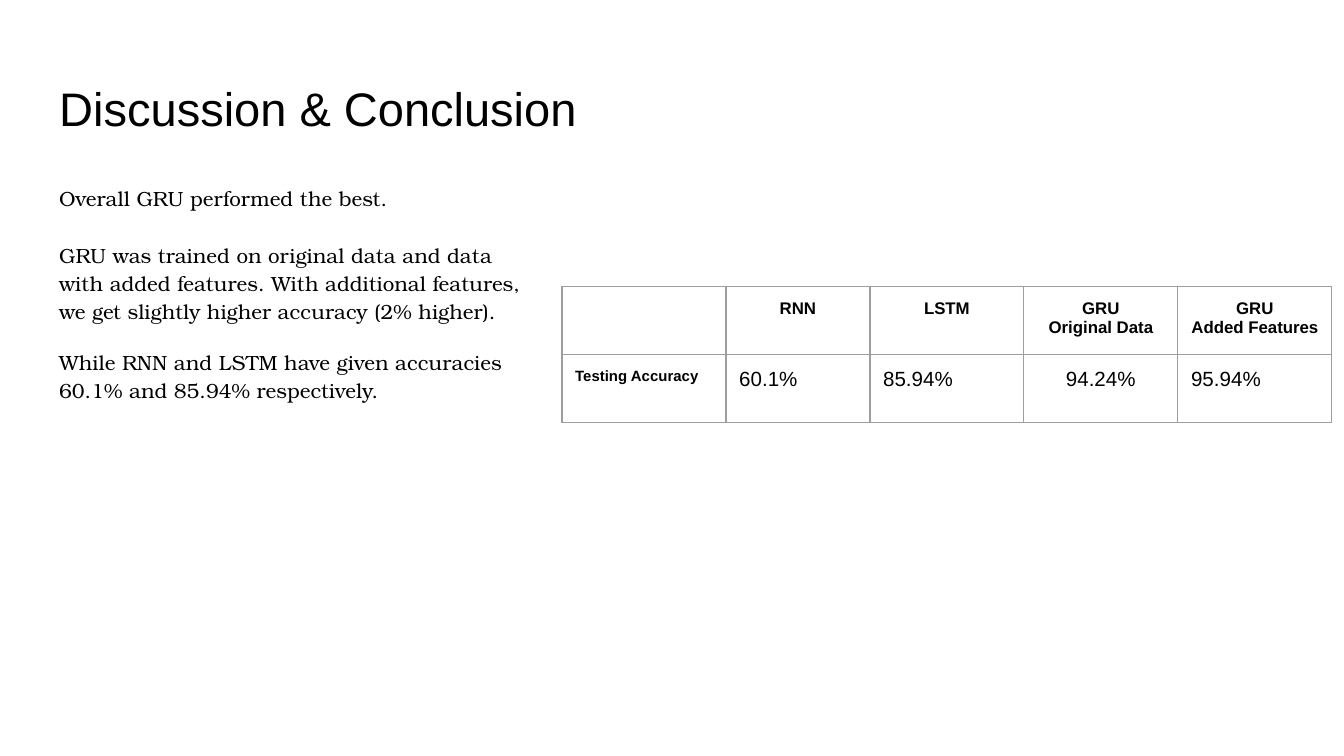
from lxml.etree import SubElement
from pptx import Presentation
from pptx.dml.color import RGBColor
from pptx.enum.text import MSO_ANCHOR as Anchor, PP_ALIGN as Align
from pptx.oxml.ns import qn
from pptx.util import Cm, Pt

BLACK = RGBColor(0x00, 0x00, 0x00)
GREY = RGBColor(0x9E, 0x9E, 0x9E)
SANS = "Arial"
SERIF = "TeX Gyre Bonum"


class SlideBuilder:
    """Holds the style and the current slide."""

    inset = Cm(0.25)

    def __init__(self, slide):
        self.slide = slide

    def set_insets(self, area):
        area.margin_left = area.margin_right = self.inset
        area.margin_top = area.margin_bottom = self.inset

    def add_span(self, para, text, font, size, bold=False):
        span = para.add_run()
        span.text = text
        span.font.name = font
        span.font.size = Pt(size)
        span.font.bold = bold
        span.font.color.rgb = BLACK

    def add_text(self, left, top, width, height, lines, font, size,
                 spacing=1.0, gaps=(0,), anchor=Anchor.TOP):
        box = self.slide.shapes.add_textbox(Cm(left), Cm(top), Cm(width), Cm(height))
        frame = box.text_frame
        frame.word_wrap = True
        frame.vertical_anchor = anchor
        self.set_insets(frame)
        for index, (line, gap) in enumerate(zip(lines, gaps)):
            para = frame.add_paragraph() if index else frame.paragraphs[0]
            para.line_spacing = spacing
            para.space_before = Pt(gap)
            self.add_span(para, line, font, size)

    def add_border(self, cell):
        props = cell._tc.get_or_add_tcPr()
        for side in ("lnL", "lnR", "lnT", "lnB"):
            line = SubElement(props, qn(f"a:{side}"), w=str(Pt(0.75)))
            fill = SubElement(line, qn("a:solidFill"))
            SubElement(fill, qn("a:srgbClr"), val=str(GREY))

    def add_table(self, left, top, widths, row_height, rows):
        frame = self.slide.shapes.add_table(
            len(rows), len(widths), Cm(left), Cm(top),
            Cm(sum(widths)), Cm(row_height * len(rows)))
        table = frame.table
        table.first_row = table.horz_banding = False
        for column, width in zip(table.columns, widths):
            column.width = Cm(width)
        for row, entries in zip(table.rows, rows):
            row.height = Cm(row_height)
            for cell, (lines, size, bold, align) in zip(row.cells, entries):
                self.set_insets(cell)
                self.add_border(cell)
                cell.fill.background()
                for index, line in enumerate(lines):
                    body = cell.text_frame
                    para = body.add_paragraph() if index else body.paragraphs[0]
                    para.alignment = align
                    self.add_span(para, line, SANS, size, bold)


def main():
    deck = Presentation()
    deck.slide_width, deck.slide_height = Cm(25.4), Cm(14.29)
    page = SlideBuilder(deck.slides.add_slide(deck.slide_layouts[6]))

    # Title
    page.add_text(0.87, 1.24, 23.67, 1.6, ["Discussion & Conclusion"], SANS, 25.2,
                  anchor=Anchor.MIDDLE)

    # Findings
    findings = [
        "Overall GRU performed the best.",
        "GRU was trained on original data and data with added features. "
        "With additional features, we get slightly higher accuracy (2% higher).",
        "While RNN and LSTM have given accuracies 60.1% and 85.94% respectively.",
    ]
    page.add_text(0.87, 3.2, 9.35, 9.5, findings, SERIF, 11,
                  spacing=1.15, gaps=(0, 15.2, 12))

    # Accuracy by model
    models = [[], ["RNN"], ["LSTM"], ["GRU", "Original Data"], ["GRU", "Added Features"]]
    header = [(lines, 9, True, Align.CENTER) for lines in models]
    scores = [
        (["Testing Accuracy"], 8, True, Align.LEFT),
        (["60.1%"], 11, False, Align.LEFT),
        (["85.94%"], 11, False, Align.LEFT),
        (["94.24%"], 11, False, Align.CENTER),
        (["95.94%"], 11, False, Align.LEFT),
    ]
    page.add_table(10.62, 5.41, [3.1, 2.72, 2.91, 2.91, 2.91], 1.29, [header, scores])

    deck.save("out.pptx")


if __name__ == "__main__":
    main()
